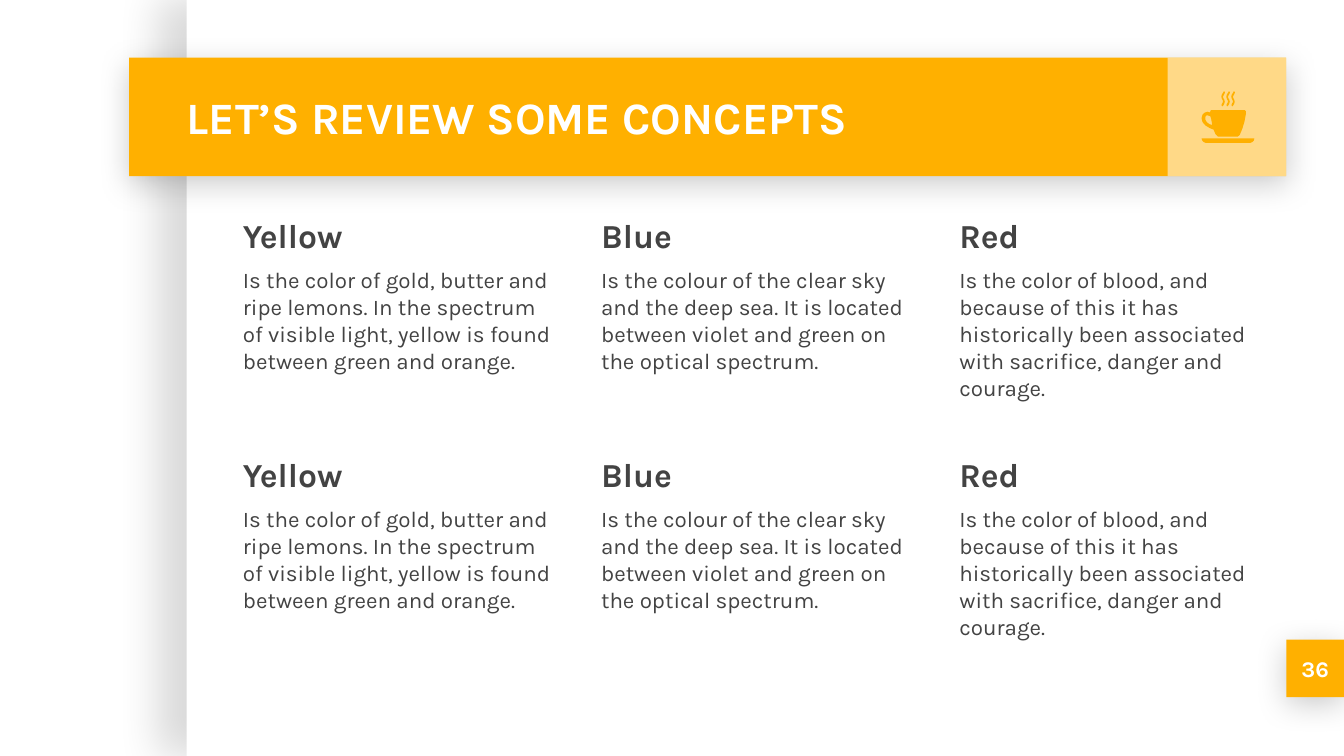
from copy import deepcopy
from dataclasses import dataclass
from typing import Any, NamedTuple

from lxml.etree import SubElement as Sub
from pptx import Presentation
from pptx.dml.color import RGBColor as Rgb
from pptx.enum.shapes import MSO_SHAPE as Kind
from pptx.enum.text import MSO_ANCHOR as Anchor, MSO_AUTO_SIZE as Auto, PP_ALIGN as Align
from pptx.oxml.ns import qn
from pptx.util import Cm, Pt


@dataclass(frozen=True)
class Theme:
    font: str = "Karla"
    gold: str = "FFB000"
    white: str = "FFFFFF"
    black: str = "000000"
    ink: str = "434343"
    title: int = 24
    head: int = 18
    text: int = 12


class Box(NamedTuple):
    left: float
    top: float
    width: float
    height: float


class Shade(NamedTuple):
    alpha: int
    blur: float
    dist: float
    angle: int


class Block(NamedTuple):
    head: str
    text: str


THEME = Theme()
SIDE = Shade(15, 22.5, 15, 180)
DROP = Shade(20, 16.9, 3.8, 90)
PAGE = Box(24.31, 12.09, 1.09, 1.09)
FRAME = {"word_wrap": True, "auto_size": Auto.NONE}
FRAME |= {f"margin_{side}": Cm(0.25) for side in ("left", "top", "right", "bottom")}

BLOCKS = [
    Block("Yellow", "Is the color of gold, butter and ripe lemons. In the spectrum of "
          "visible light, yellow is found between green and orange."),
    Block("Blue", "Is the colour of the clear sky and the deep sea. It is located between "
          "violet and green on the optical spectrum."),
    Block("Red", "Is the color of blood, and because of this it has historically been "
          "associated with sacrifice, danger and courage."),
]
COLS, ROWS = len(BLOCKS), 2

# Cup outlines in thousandths of an inch
MIL = Cm(2.54) / 1000
CUP = [(9010, 820), (9002, 838), (8985, 832), (8965, 838), (8948, 853), (8940, 880),
       (8948, 910), (8970, 935), (9000, 953), (9030, 965), (9045, 1000), (9062, 1017),
       (9210, 1017), (9225, 1005), (9245, 955), (9260, 905), (9270, 850), (9270, 828),
       (9262, 820)]
HOLE = [(8990, 860), (9005, 865), (9012, 885), (9020, 930), (9000, 925), (8980, 910),
        (8968, 890), (8968, 870), (8976, 860)]
DISH = [(8940, 1030), (8945, 1045), (8955, 1057), (8970, 1063), (9305, 1063),
        (9320, 1057), (9330, 1045), (9333, 1030)]
STEAM = [(18, 0), (14, 10), (4, 25), (0, 40), (4, 55), (12, 70), (12, 82), (2, 98),
         (2, 108), (8, 112), (14, 107), (22, 92), (26, 78), (22, 62), (14, 48), (14, 36),
         (22, 22), (27, 10), (25, 2)]


def set_all(item: Any, values: dict[str, Any]) -> None:
    for name, value in values.items():
        setattr(item, name, value)


def place(shape: Any, box: Box) -> None:
    set_all(shape, {name: Cm(size) for name, size in box._asdict().items()})


def paint(shape: Any, color: str) -> None:
    shape.shadow.inherit = False
    shape.fill.solid()
    shape.fill.fore_color.rgb = Rgb.from_string(color)
    shape.line.fill.background()


def add_rect(slide: Any, box: Box, color: str, shade: Shade | None = None) -> Any:
    rect = slide.shapes.add_shape(Kind.RECTANGLE, *map(Cm, box))
    paint(rect, color)
    if shade:
        list_ = rect.element.spPr.find(qn("a:effectLst"))
        glow = Sub(list_, qn("a:outerShdw"), blurRad=str(Pt(shade.blur)),
                   dist=str(Pt(shade.dist)), dir=str(shade.angle * 60000),
                   algn="ctr", rotWithShape="0")
        tint = Sub(glow, qn("a:srgbClr"), val=THEME.black)
        Sub(tint, qn("a:alpha"), val=str(shade.alpha * 1000))
    return rect


def add_path(group: Any, *rings: list[tuple[int, int]]) -> None:
    first, *rest = rings
    pen = group.shapes.build_freeform(*first[0], scale=MIL)
    pen.add_line_segments(first[1:])
    for ring in rest:
        pen.move_to(*ring[0])
        pen.add_line_segments(ring[1:])
    paint(pen.convert_to_shape(), THEME.gold)


def write(para: Any, text: str, size: int, color: str, bold: bool, **form: Any) -> None:
    run = para.add_run()
    run.text = text
    set_all(run.font, {"name": THEME.font, "size": Pt(size), "bold": bold})
    run.font.color.rgb = Rgb.from_string(color)
    set_all(para, form)


def fill_block(holder: Any, box: Box, block: Block) -> None:
    place(holder, box)
    frame = holder.text_frame
    set_all(frame, FRAME | {"vertical_anchor": Anchor.TOP})
    lines = [(block.head, THEME.head, True), (block.text, THEME.text, False)]
    for i, (text, size, bold) in enumerate(lines):
        para = frame.add_paragraph() if i else frame.paragraphs[0]
        write(para, text, size, THEME.ink, bold, space_before=Pt(6), alignment=Align.LEFT)
        props = para._p.get_or_add_pPr()
        props.set("marL", "0")
        props.set("indent", "0")
        Sub(props, qn("a:buNone"))


def add_slots(layout: Any, count: int) -> None:
    """Give the layout one body placeholder for each block."""
    base = layout.placeholders[1].element
    base.find(f".//{qn('p:ph')}").set("type", "body")
    for i in range(1, count):
        slot = deepcopy(base)
        slot.find(f".//{qn('p:ph')}").set("idx", str(20 + i))
        slot.find(f".//{qn('p:cNvPr')}").set("id", str(20 + i))
        base.getparent().append(slot)


def main() -> None:
    deck = Presentation()
    set_all(deck, {"slide_width": Cm(25.4), "slide_height": Cm(14.29)})
    layout = deck.slide_layouts[1]
    add_slots(layout, COLS * ROWS)
    slide = deck.slides.add_slide(layout)
    title, *slots = slide.placeholders

    # Panel, page tab, title bar and icon tile
    add_rect(slide, Box(3.53, 0, 21.87, 14.29), THEME.white, SIDE)
    add_rect(slide, PAGE, THEME.gold, DROP)
    add_rect(slide, Box(2.44, 1.09, 21.87, 2.24), THEME.gold, DROP)
    tile = add_rect(slide, Box(22.07, 1.09, 2.24, 2.24), THEME.white)
    Sub(tile.element.spPr.find(f".//{qn('a:srgbClr')}"), qn("a:alpha"), val="53000")

    # Placeholders go in front of the bars
    for holder in (title, *slots):
        slide.shapes.element.append(holder.element)

    # Title
    place(title, Box(3.28, 1.09, 18.72, 2.24))
    set_all(title.text_frame, FRAME | {"vertical_anchor": Anchor.MIDDLE})
    write(title.text_frame.paragraphs[0], "LET’S REVIEW SOME CONCEPTS", THEME.title,
          THEME.white, True, alignment=Align.LEFT)

    # Grid of concepts
    for i, slot in enumerate(slots):
        row, col = divmod(i, COLS)
        box = Box(4.34 + 6.77 * col, 3.81 + 4.52 * row, 6.43, 4.24)
        fill_block(slot, box, BLOCKS[col])

    # Coffee cup
    cup = slide.shapes.add_group_shape()
    add_path(cup, CUP, HOLE)
    add_path(cup, DISH)
    for left in (9087, 9124, 9161):
        add_path(cup, [(left + x, 680 + y) for x, y in STEAM])

    # Page number
    page = slide.shapes.add_textbox(*map(Cm, PAGE))
    set_all(page.text_frame, FRAME | {"vertical_anchor": Anchor.MIDDLE})
    write(page.text_frame.paragraphs[0], "36", THEME.text, THEME.white, True,
          alignment=Align.CENTER)

    deck.save("out.pptx")


if __name__ == "__main__":
    main()
